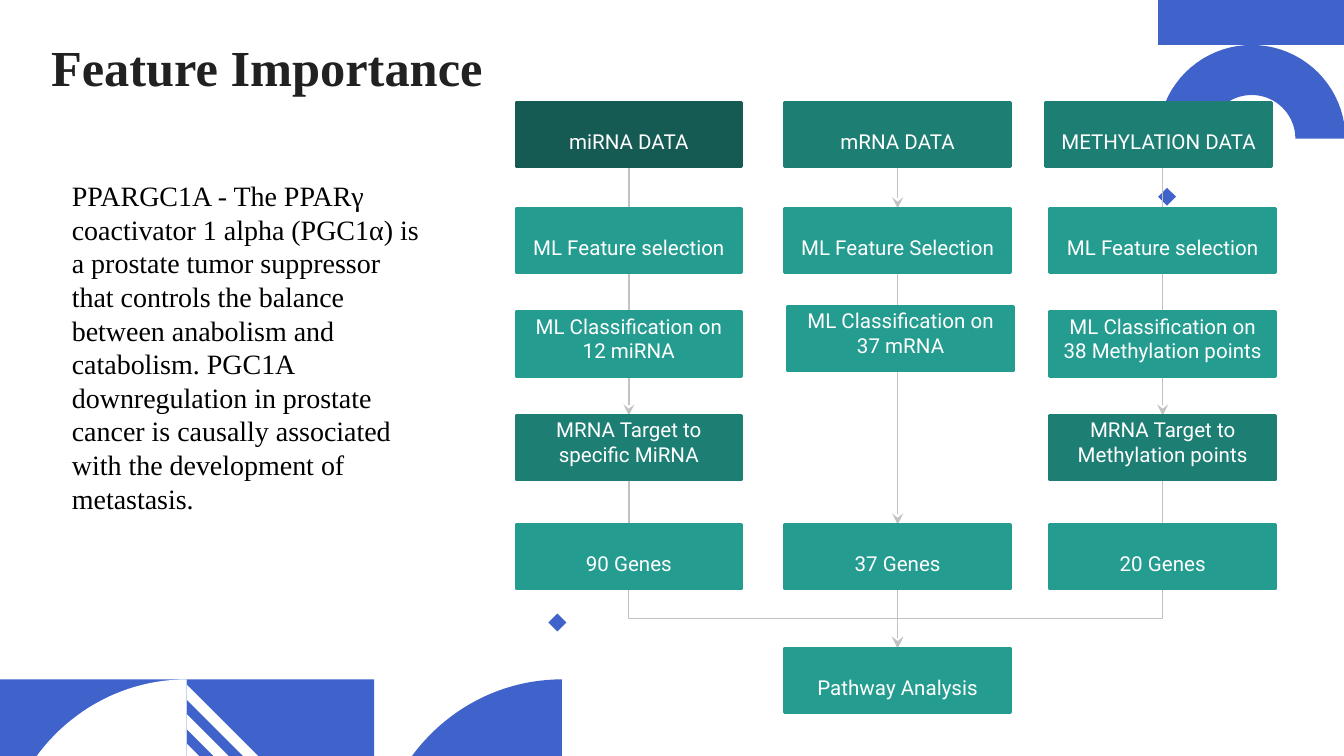
import math
from lxml import etree
from pptx import Presentation
from pptx.dml.color import RGBColor
from pptx.enum.shapes import MSO_CONNECTOR, MSO_SHAPE
from pptx.enum.text import MSO_ANCHOR, PP_ALIGN
from pptx.oxml.ns import qn
from pptx.util import Pt

STRAIGHT, ELBOW = MSO_CONNECTOR.STRAIGHT, MSO_CONNECTOR.ELBOW
RECTANGLE, DIAMOND = MSO_SHAPE.RECTANGLE, MSO_SHAPE.DIAMOND
TOP, MIDDLE, BOTTOM = MSO_ANCHOR.TOP, MSO_ANCHOR.MIDDLE, MSO_ANCHOR.BOTTOM
LEFT, CENTER = PP_ALIGN.LEFT, PP_ALIGN.CENTER

BLUE, WHITE, GREY = "3F63CA", "FFFFFF", "C2C2C2"
DARK, MEDIUM, LIGHT = "155B54", "1D7E74", "249C90"
SERIF, SANS = "Times New Roman", "Roboto"

BOX_WIDTH, BOX_HEIGHT = 121, 34.6
DATA, SELECTION, CLASSIFICATION, TARGET, GENES, PATHWAY = (
    54.7, 111.6, 167, 222.6, 281, 347.2)

# Each box: text, row top, fill, and its offset from the column grid.
COLUMNS = [
    (276.4, [("miRNA DATA", DATA, DARK, 0, 0),
             ("ML Feature selection", SELECTION, LIGHT, 0, 0),
             ("ML Classification on 12 miRNA", CLASSIFICATION, LIGHT, 0, 0),
             ("MRNA Target to specific MiRNA", TARGET, MEDIUM, 0, 0),
             ("90 Genes", GENES, LIGHT, 0, 0)]),
    (420.4, [("mRNA DATA", DATA, MEDIUM, 0, 0),
             ("ML Feature Selection", SELECTION, LIGHT, 0, 0),
             ("ML Classification on 37 mRNA", CLASSIFICATION, LIGHT, 1.6, -2.8),
             ("37 Genes", GENES, LIGHT, 0, 0),
             ("Pathway Analysis", PATHWAY, LIGHT, 0, 0)]),
    (562.4, [("METHYLATION DATA", DATA, MEDIUM, -2.2, 0),
             ("ML Feature selection", SELECTION, LIGHT, 0, 0),
             ("ML Classification on 38 Methylation points", CLASSIFICATION, LIGHT, 0, 0),
             ("MRNA Target to Methylation points", TARGET, MEDIUM, 0, 0),
             ("20 Genes", GENES, LIGHT, 0, 0)]),
]

BODY = ("PPARGC1A - The PPARγ coactivator 1 alpha (PGC1α) is a prostate tumor "
        "suppressor that controls the balance between anabolism and catabolism. "
        "PGC1A downregulation in prostate cancer is causally associated with the "
        "development of metastasis.")


def color(hex_string):
    return RGBColor.from_string(hex_string)


def paint(shape, fill, line=None):
    shape.shadow.inherit = False
    shape.fill.solid()
    shape.fill.fore_color.rgb = color(fill)
    if line:
        shape.line.color.rgb = color(line)
        shape.line.width = Pt(1.5)
    else:
        shape.line.fill.background()


def add_preset(slide, kind, left, top, width, height, fill, line=None):
    shape = slide.shapes.add_shape(kind, Pt(left), Pt(top), Pt(width), Pt(height))
    paint(shape, fill, line)
    return shape


def add_polygon(slide, points, fill):
    points = [(Pt(x), Pt(y)) for x, y in points]
    builder = slide.shapes.build_freeform(*points[0], scale=1.0)
    builder.add_line_segments(points[1:], close=True)
    paint(builder.convert_to_shape(), fill)


def arc_points(center_x, center_y, radius_x, radius_y, start, end, steps=40):
    """Points along an ellipse; angles in degrees, 180 is left and 270 is up."""
    angles = [math.radians(start + (end - start) * i / steps) for i in range(steps + 1)]
    return [(center_x + radius_x * math.cos(a), center_y + radius_y * math.sin(a))
            for a in angles]


def set_text(shape, text, font_name, size, text_color, anchor, alignment, bold=False):
    frame = shape.text_frame
    frame.word_wrap = True
    frame.vertical_anchor = anchor
    frame.margin_left = frame.margin_right = Pt(7.2)
    frame.margin_top = frame.margin_bottom = Pt(7.2)
    paragraph = frame.paragraphs[0]
    paragraph.alignment = alignment
    run = paragraph.add_run()
    run.text = text
    run.font.name = font_name
    run.font.size = Pt(size)
    run.font.bold = bold
    run.font.color.rgb = color(text_color)


def add_text(slide, left, top, width, height, *text_options, bold=False):
    box = slide.shapes.add_textbox(Pt(left), Pt(top), Pt(width), Pt(height))
    set_text(box, *text_options, bold=bold)


def add_line(slide, kind, x1, y1, x2, y2, arrow=True):
    """Connector whose arrowhead, if any, sits at its first point."""
    connector = slide.shapes.add_connector(kind, Pt(x1), Pt(y1), Pt(x2), Pt(y2))
    connector.line.color.rgb = color(GREY)
    connector.line.width = Pt(0.75)
    if arrow:
        line = connector.line._get_or_add_ln()
        etree.SubElement(line, qn("a:headEnd"), type="stealth")
    etree.SubElement(connector._element.spPr, qn("a:effectLst"))
    return connector


def add_vertical_elbow(slide, x1, y1, x2, y2):
    """Elbow rising from (x1, y1) to (x2, y2): a turned box, vertical ends."""
    center_x, center_y = (x1 + x2) / 2, (y1 + y2) / 2
    half_width, half_height = (y1 - y2) / 2, abs(x2 - x1) / 2
    side = 1 if x2 < x1 else -1
    connector = add_line(slide, ELBOW,
                         center_x + side * half_width, center_y - half_height,
                         center_x - side * half_width, center_y + half_height)
    degrees = 90 if side == 1 else 270
    connector._element.spPr.find(qn("a:xfrm")).set("rot", str(degrees * 60000))


def add_bottom_tiles(slide, left, top, width, height):
    bottom = top + height
    lefts = [left + i * width for i in range(3)]

    def quarter(tile_left, fill):
        right = tile_left + width
        add_polygon(slide, [(right, bottom)]
                    + arc_points(right, bottom, width, height, 180, 270), fill)

    quarter(lefts[2], BLUE)
    add_preset(slide, RECTANGLE, lefts[1], top, width, height, BLUE)
    for i in range(3):
        start, thickness = top + 2.8 + 15.8 * i, 8
        run = bottom - start
        add_polygon(slide, [(lefts[1], start), (lefts[1], start + thickness),
                            (lefts[1] + run - thickness, bottom),
                            (lefts[1] + run, bottom)], WHITE)
    add_preset(slide, RECTANGLE, lefts[0], top, width, height, BLUE)
    quarter(lefts[0], WHITE)


def add_corner_arch(slide, left, top, width, bar_height):
    radius = width / 2
    center_x, center_y = left + radius, top + bar_height + radius
    add_polygon(slide, arc_points(center_x, center_y, radius, radius, 180, 360)
                + arc_points(center_x, center_y, 23.4, 23.4, 360, 180), BLUE)
    add_preset(slide, RECTANGLE, left, top, width, bar_height, BLUE)


def add_flowchart(slide, columns):
    centers = [left + BOX_WIDTH / 2 for left, _ in columns]
    first, middle, last = centers
    data_bottom, genes_bottom = DATA + BOX_HEIGHT, GENES + BOX_HEIGHT
    for center in (first, last):
        add_line(slide, STRAIGHT, center, TARGET, center, data_bottom)
        add_line(slide, STRAIGHT, center, GENES, center, TARGET + BOX_HEIGHT, arrow=False)
        add_vertical_elbow(slide, middle, PATHWAY, center, genes_bottom)
    for start, end in ((SELECTION, data_bottom), (GENES, SELECTION + BOX_HEIGHT),
                       (PATHWAY, genes_bottom)):
        add_line(slide, STRAIGHT, middle, start, middle, end)
    for left, boxes in columns:
        for text, top, fill, shift_x, shift_y in boxes:
            box = add_preset(slide, RECTANGLE, left + shift_x, top + shift_y,
                             BOX_WIDTH, BOX_HEIGHT, fill, fill)
            set_text(box, text, SANS, 11, WHITE, BOTTOM, CENTER)


def main():
    presentation = Presentation()
    presentation.slide_width, presentation.slide_height = Pt(720), Pt(405)
    slide = presentation.slides.add_slide(presentation.slide_layouts[6])
    for left, top in ((293.8, 328.7), (620.4, 100.6)):
        add_preset(slide, DIAMOND, left, top, 9.6, 9.6, BLUE)
    add_bottom_tiles(slide, -0.5, 364, 100.5, 103)
    add_corner_arch(slide, 620.4, -0.9, 100.4, 25)
    add_text(slide, 20.3, 16.6, 607.7, 38.2, "Feature Importance",
             SERIF, 27, "212121", MIDDLE, LEFT, bold=True)
    add_flowchart(slide, COLUMNS)
    add_text(slide, 31.4, 88.6, 201, 196.6, BODY, SERIF, 15, "000000", TOP, LEFT)
    presentation.save("out.pptx")


if __name__ == "__main__":
    main()
